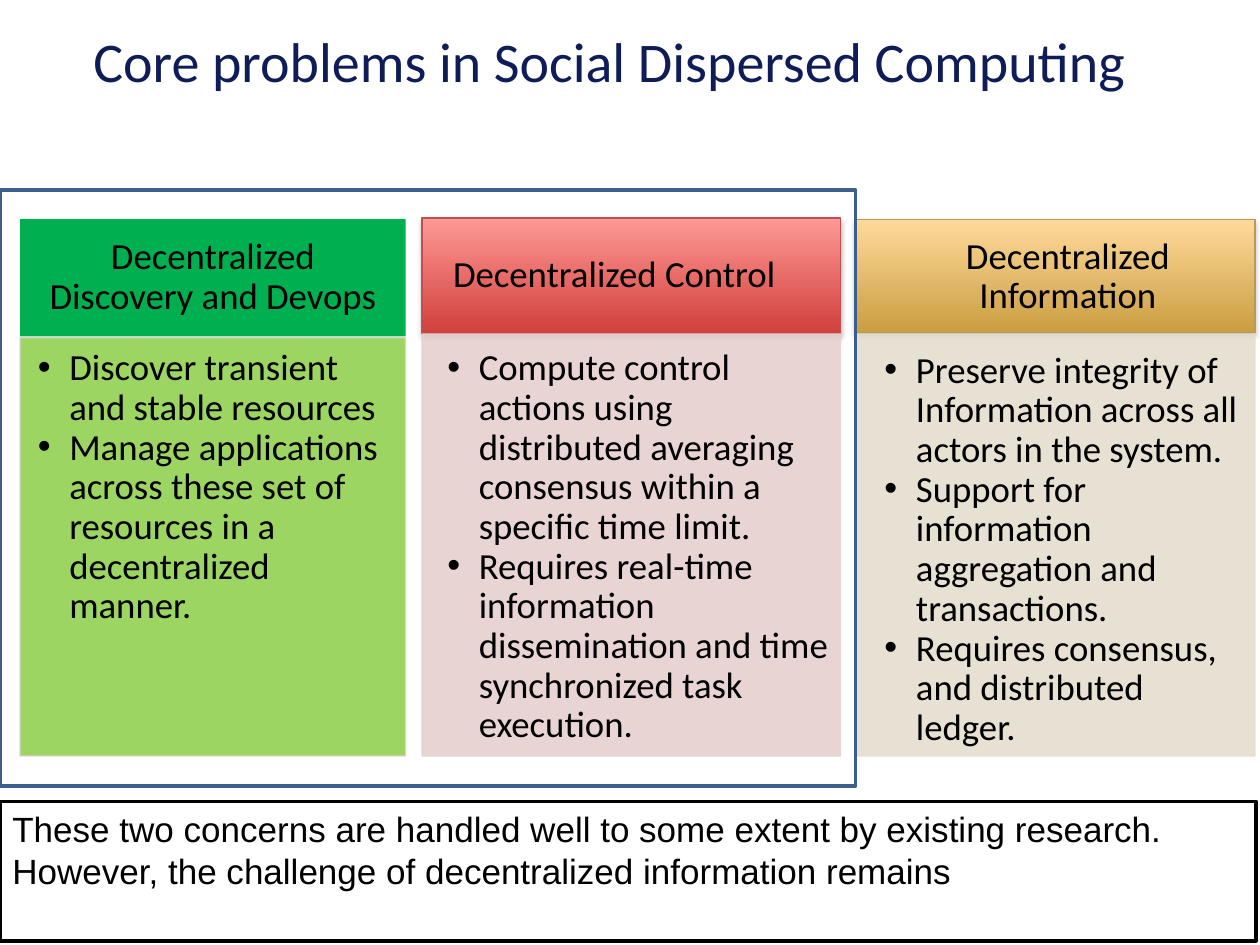
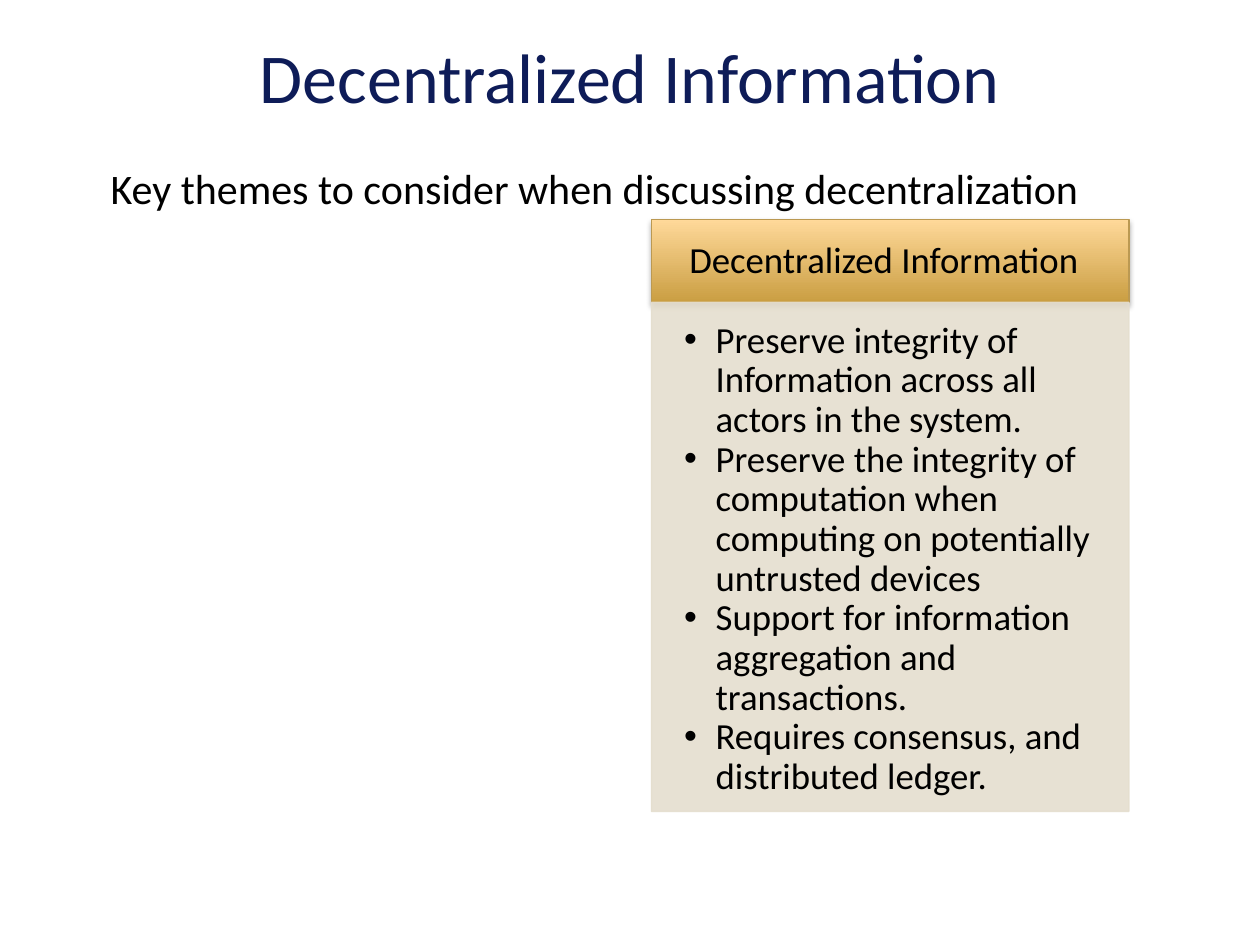
from lxml import etree
from pptx import Presentation
from pptx.dml.color import RGBColor
from pptx.enum.shapes import MSO_SHAPE
from pptx.enum.text import MSO_ANCHOR, MSO_AUTO_SIZE, PP_ALIGN
from pptx.oxml.ns import qn
from pptx.util import Inches, Pt

RECTANGLE = MSO_SHAPE.RECTANGLE
TOP, MIDDLE = MSO_ANCHOR.TOP, MSO_ANCHOR.MIDDLE
LEFT, CENTER = PP_ALIGN.LEFT, PP_ALIGN.CENTER

NAVY = RGBColor(0x0E, 0x1C, 0x58)
BLACK = RGBColor(0, 0, 0)
WHITE = RGBColor(0xFF, 0xFF, 0xFF)
FRAME_BLUE = RGBColor(0x3A, 0x5F, 0x8C)
GREEN = RGBColor(0x00, 0xB0, 0x50)
LIME = RGBColor(0x92, 0xD0, 0x50)
PINK = RGBColor(0xE7, 0xCF, 0xCF)
SAND = RGBColor(0xE5, 0xDE, 0xCE)
RED_EDGE = RGBColor(0xBF, 0x50, 0x4D)
RED_BLEND = (RGBColor(0xD0, 0x3F, 0x3B), RGBColor(0xFF, 0x99, 0x95))
GOLD_EDGE = RGBColor(0xBB, 0x99, 0x52)
GOLD_BLEND = (RGBColor(0xCA, 0x9E, 0x42), RGBColor(0xFF, 0xD9, 0x9A))

PANEL_OPACITY = 89
HEADER_INSETS = (0.16, 0.09, 0.16, 0.09)
BULLET_INSETS = (0.12, 0.12, 0.16, 0.18)
PLAIN_INSETS = (0.1, 0.05, 0.1, 0.05)

# Content: places are (left, top, width, height) in inches
INTEGRITY = "Preserve integrity of Information across all actors in the system."
AGGREGATION = "Support for information aggregation and transactions."
CONSENSUS = "Requires consensus, and distributed ledger."

RED_STYLE = dict(header_fill=RED_BLEND, header_edge=RED_EDGE, panel_fill=PINK, panel_edge=PINK)
GOLD_STYLE = dict(header_fill=GOLD_BLEND, header_edge=GOLD_EDGE, panel_fill=SAND, panel_edge=SAND)
GREEN_STYLE = dict(header_fill=GREEN, header_edge=None, panel_fill=LIME, panel_edge=PINK)

CORE_CARDS = [
    dict(heading="Decentralized Control", style=RED_STYLE,
         header=(3.35, 1.73, 3.32, 0.92), heading_at=(3.17, 1.73, 3.41, 0.92),
         panel=(3.35, 2.65, 3.32, 3.35), bullets_at=(3.43, 2.65, 3.41, 3.35),
         bullets=["Compute control actions using distributed averaging consensus "
                  "within a specific time limit.",
                  "Requires real-time information dissemination and time "
                  "synchronized task execution."]),
    dict(heading="Decentralized Information", style=GOLD_STYLE,
         header=(6.79, 1.74, 3.17, 0.9), heading_at=(7.04, 1.87, 2.87, 0.66),
         panel=(6.79, 2.65, 3.17, 3.35), bullets_at=(6.9, 2.67, 3.17, 2.9),
         bullets=[INTEGRITY, AGGREGATION, CONSENSUS]),
    dict(heading="Decentralized Discovery and Devops", style=GREEN_STYLE,
         header=(0.16, 1.74, 3.06, 0.93), heading_at=None,
         panel=(0.16, 2.68, 3.06, 3.32), bullets_at=(0.18, 2.65, 3.01, 3.35),
         bullets=["Discover transient and stable resources",
                  "Manage applications across these set of resources in a "
                  "decentralized manner."]),
]
INFORMATION_CARD = dict(
    heading="Decentralized Information", style=GOLD_STYLE,
    header=(5.17, 1.74, 3.79, 0.66), heading_at=(5.3, 1.75, 3.43, 0.66),
    panel=(5.17, 2.4, 3.79, 4.04), bullets_at=(5.31, 2.43, 3.79, 4.02),
    bullets=[INTEGRITY,
             "Preserve the integrity of computation when computing on "
             "potentially untrusted devices",
             AGGREGATION, CONSENSUS])
RESEARCH_NOTE = ("These two concerns are handled well to some extent by existing research. "
                 "However, the challenge of decentralized information remains")


def inches(place):
    return [Inches(value) for value in place]


def write(shape, *texts, size=21, font="Calibri", color=BLACK, align=LEFT,
          anchor=TOP, insets=PLAIN_INSETS, spacing=None, bullets=False):
    frame = shape.text_frame
    frame.auto_size = MSO_AUTO_SIZE.NONE
    frame.word_wrap = True
    frame.vertical_anchor = anchor
    (frame.margin_left, frame.margin_top,
     frame.margin_right, frame.margin_bottom) = inches(insets)
    for index, text in enumerate(texts):
        para = frame.add_paragraph() if index else frame.paragraphs[0]
        para.alignment = align
        if spacing:
            para.line_spacing = spacing
        if bullets:
            para.level = 1
            properties = para._p.get_or_add_pPr()
            properties.set("marL", str(Inches(0.25)))
            properties.set("indent", str(-Inches(0.25)))
            bullet_color = etree.SubElement(properties, qn("a:buClr"))
            etree.SubElement(bullet_color, qn("a:srgbClr"), val=str(BLACK))
            etree.SubElement(properties, qn("a:buFont"), typeface="Arial")
            etree.SubElement(properties, qn("a:buChar"), char="•")
        span = para.add_run()
        span.text = text
        span.font.name, span.font.size = font, Pt(size)
        span.font.color.rgb = color


def add_text(page, place, *texts, **style):
    box = page.shapes.add_textbox(*inches(place))
    write(box, *texts, **style)


def add_box(page, place, fill=None, edge=None, edge_width=0.75, opacity=100):
    box = page.shapes.add_shape(RECTANGLE, *inches(place))
    box.shadow.inherit = False
    if fill is None:
        box.fill.background()
    elif isinstance(fill, RGBColor):
        box.fill.solid()
        box.fill.fore_color.rgb = fill
    else:
        box.fill.gradient()
        box.fill.gradient_angle = 90
        for position, (stop, color) in enumerate(zip(box.fill.gradient_stops, fill)):
            stop.position = position
            stop.color.rgb = color
    if edge is None:
        box.line.fill.background()
    else:
        box.line.color.rgb = edge
        box.line.width = Pt(edge_width)
    if opacity < 100:
        for color in box._element.spPr.iter(qn("a:srgbClr")):
            etree.SubElement(color, qn("a:alpha"), val=str(opacity * 1000))
    return box


def add_drop_shadow(box):
    effects = box._element.spPr.find(qn("a:effectLst"))
    shadow = etree.SubElement(effects, qn("a:outerShdw"), blurRad=str(Pt(3.1)),
                              dist=str(Pt(1.8)), dir="5400000", rotWithShape="0")
    color = etree.SubElement(shadow, qn("a:srgbClr"), val=str(BLACK))
    etree.SubElement(color, qn("a:alpha"), val="35000")


def add_card(page, card):
    style = card["style"]
    heading_style = dict(align=CENTER, anchor=MIDDLE, insets=HEADER_INSETS, spacing=0.9)
    header = add_box(page, card["header"], style["header_fill"], style["header_edge"])
    if card["heading_at"]:
        add_drop_shadow(header)
        add_text(page, card["heading_at"], card["heading"], **heading_style)
    else:
        write(header, card["heading"], **heading_style)
    add_box(page, card["panel"], style["panel_fill"], style["panel_edge"],
            opacity=PANEL_OPACITY)
    add_text(page, card["bullets_at"], *card["bullets"], insets=BULLET_INSETS,
             spacing=0.9, bullets=True)


def add_page(deck, title, place, size):
    page = deck.slides.add_slide(deck.slide_layouts[5])
    heading = page.shapes.title
    heading.left, heading.top, heading.width, heading.height = inches(place)
    write(heading, title, size=size, color=NAVY, align=CENTER, anchor=MIDDLE)
    return page


def main():
    deck = Presentation()
    deck.slide_width, deck.slide_height = Inches(10), Inches(7.5)

    # Core problems: three cards, a frame round two of them, a closing note
    page = add_page(deck, "Core problems in Social Dispersed Computing",
                    (0.18, 0.06, 9.32, 0.84), 32)
    for card in CORE_CARDS:
        add_card(page, card)
    add_box(page, (0, 1.51, 6.79, 4.73), edge=FRAME_BLUE, edge_width=2)
    note = add_box(page, (0, 6.36, 9.97, 1.11), WHITE, BLACK, edge_width=2)
    write(note, RESEARCH_NOTE, size=20, font="Arial")

    # Decentralized information: lead line and one card
    page = add_page(deck, "Decentralized Information", (0.5, 0.17, 9, 0.86), 40)
    add_text(page, (0.78, 1.24, 9.34, 0.5),
             "Key themes to consider when discussing decentralization", size=24)
    add_card(page, INFORMATION_CARD)

    deck.save("out.pptx")


if __name__ == "__main__":
    main()
